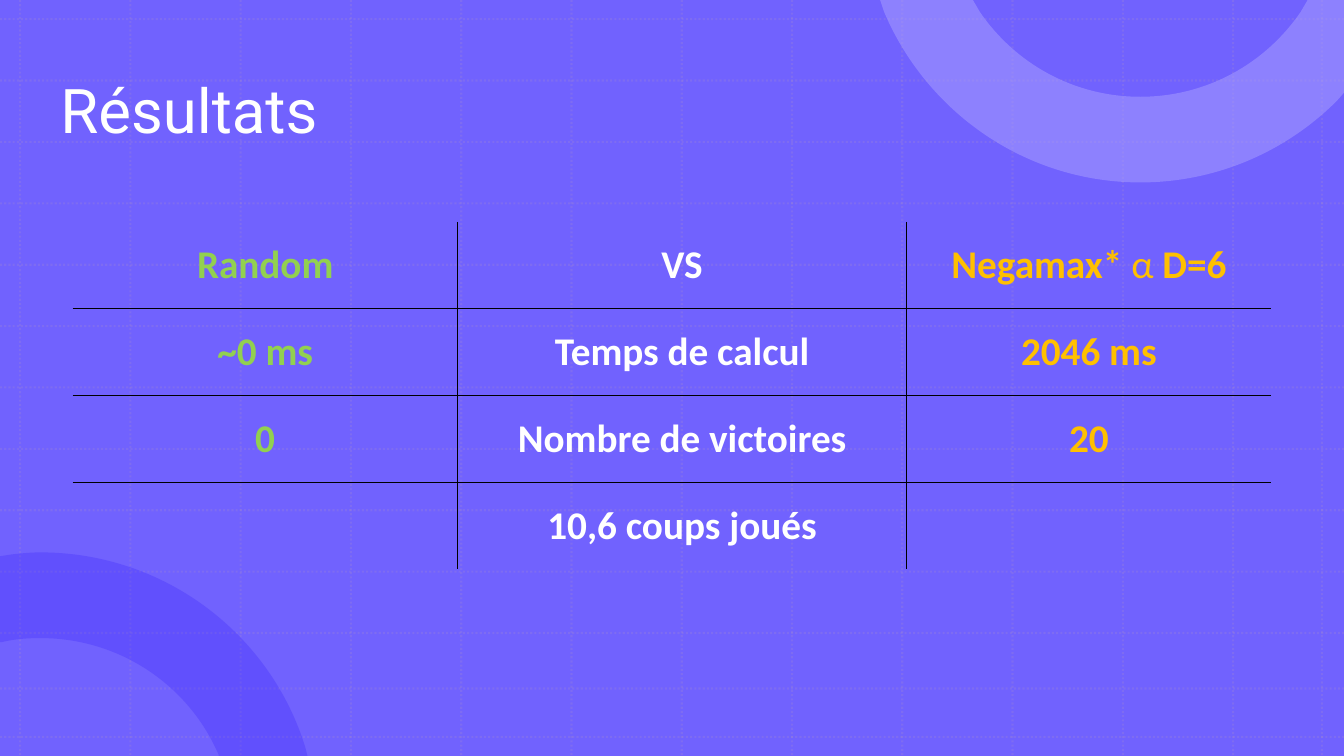
from lxml import etree
from pptx import Presentation
from pptx.dml.color import RGBColor
from pptx.enum.dml import MSO_LINE
from pptx.enum.shapes import MSO_CONNECTOR, MSO_SHAPE
from pptx.enum.text import MSO_ANCHOR, PP_ALIGN
from pptx.oxml.ns import qn
from pptx.util import Inches, Pt

STRAIGHT = MSO_CONNECTOR.STRAIGHT
RECTANGLE = MSO_SHAPE.RECTANGLE
DOTTED = MSO_LINE.ROUND_DOT
MIDDLE = MSO_ANCHOR.MIDDLE
LEFT, CENTER = PP_ALIGN.LEFT, PP_ALIGN.CENTER

VIOLET = RGBColor(0x71, 0x62, 0xFE)
GRID = RGBColor(0xB4, 0x95, 0xC2)
DEEP_BLUE = RGBColor(0x22, 0x0B, 0xFD)
LAVENDER = RGBColor(0xAA, 0xA1, 0xFE)
WHITE = RGBColor(0xFF, 0xFF, 0xFF)
GREEN = RGBColor(0x92, 0xD0, 0x50)
AMBER = RGBColor(0xFF, 0xC0, 0x00)

WIDTH, HEIGHT = 13.33, 7.5
COLUMN_WIDTHS = [3.82, 4.45, 3.62]
COLUMN_COLORS = [GREEN, WHITE, AMBER]
# Each cell is a list of (text, bold) runs
RESULTS = [
    [[("Random", True)], [("VS", True)],
     [("Negamax* ", True), ("α ", False), ("D=6", True)]],
    [[("~0 ms", True)], [("Temps de calcul", True)], [("2046 ms", True)]],
    [[("0", True)], [("Nombre de victoires", True)], [("20", True)]],
    [[], [("10,6 coups joués", True)], []],
]
# Outlines relative to the box of each ring: a segment of one point is
# straight, a segment of three points is a Bézier curve
LOWER_RING = [
    [(0.41, 0)],
    [(1.65, 0), (2.7, 0.82), (3.04, 1.94)],
    [(3.06, 2.02)], [(2.18, 2.02)], [(2.18, 2.01)],
    [(1.89, 1.33), (1.21, 0.85), (0.41, 0.85)],
    [(0.28, 0.85), (0.15, 0.86), (0.03, 0.89)],
    [(0, 0.89)], [(0, 0.04)], [(0.13, 0.02)],
    [(0.22, 0.01), (0.32, 0), (0.41, 0)],
]
UPPER_RING = [
    [(0, 0)], [(0.92, 0)], [(0.99, 0.12)],
    [(1.34, 0.63), (1.92, 0.96), (2.58, 0.96)],
    [(3.24, 0.96), (3.82, 0.63), (4.17, 0.12)],
    [(4.24, 0)], [(4.6, 0)], [(4.6, 0.92)], [(4.53, 1)],
    [(4.03, 1.5), (3.34, 1.81), (2.58, 1.81)],
    [(1.44, 1.81), (0.46, 1.11), (0.04, 0.12)],
]


def set_alpha(sp_pr, percent):
    color = next(sp_pr.iter(qn("a:srgbClr")))
    etree.SubElement(color, qn("a:alpha"), val=str(percent * 1000))


def paint(shape, color):
    shape.shadow.inherit = False
    shape.fill.solid()
    shape.fill.fore_color.rgb = color
    shape.line.fill.background()


def add_backdrop(s, width, height):
    backdrop = s.shapes.add_shape(
        RECTANGLE, 0, 0, Inches(width), Inches(height))
    paint(backdrop, VIOLET)


def add_grid_line(s, x1, y1, x2, y2):
    line = s.shapes.add_connector(
        STRAIGHT, Inches(x1), Inches(y1), Inches(x2), Inches(y2))
    line.line.color.rgb = GRID
    line.line.width = Pt(1.5)
    line.line.dash_style = DOTTED
    sp_pr = line._element.spPr
    set_alpha(sp_pr, 20)
    etree.SubElement(sp_pr, qn("a:effectLst"))


def add_grid(s, width, height):
    for x in [0.2 + 12.03 * i / 11 for i in range(12)] + [13.11]:
        add_grid_line(s, x, 0, x, height)
    for y in [0.19 + 6.09 * i / 10 for i in range(11)] + [6.83, 7.31]:
        add_grid_line(s, 0, y, width, y)


def add_ring(s, left, top, outline, color, alpha):
    """Draw the visible part of a ring, with its curves kept as Béziers."""
    points = [(Inches(left + x), Inches(top + y))
              for segment in outline for x, y in segment]
    builder = s.shapes.build_freeform(*points[0])
    builder.add_line_segments(points[1:], close=True)
    ring = builder.convert_to_shape()
    paint(ring, color)
    set_alpha(ring._element.spPr, alpha)

    steps = iter(list(ring._element.iter(qn("a:lnTo"))))
    for segment in outline[1:]:
        parts = [next(steps) for _ in segment]
        if len(parts) == 3:
            curve = etree.Element(qn("a:cubicBezTo"))
            parts[0].addprevious(curve)
            for part in parts:
                curve.append(part[0])
                part.getparent().remove(part)


def add_title(s, text, left, top, width, height):
    title = s.shapes.title
    s.shapes._spTree.append(title._element)  # bring in front of the decor
    title.left, title.top = Inches(left), Inches(top)
    title.width, title.height = Inches(width), Inches(height)
    tf = title.text_frame
    tf.text = text
    tf.vertical_anchor = MIDDLE
    p = tf.paragraphs[0]
    p.alignment = LEFT
    p.line_spacing = 0.9
    p.font.name = "Roboto"
    p.font.size = Pt(44)
    p.font.color.rgb = WHITE


def set_borders(cell, **visible):
    """Draw a black border on each side marked true, and none elsewhere."""
    tc_pr = cell._tc.get_or_add_tcPr()
    for side in ("lnL", "lnR", "lnT", "lnB"):
        ln = etree.SubElement(tc_pr, qn("a:" + side), w=str(Pt(1)))
        if visible[side]:
            fill = etree.SubElement(ln, qn("a:solidFill"))
            etree.SubElement(fill, qn("a:srgbClr"), val="000000")
        else:
            etree.SubElement(ln, qn("a:noFill"))


def fill_cell(cell, runs, color):
    cell.fill.background()
    cell.vertical_anchor = MIDDLE
    p = cell.text_frame.paragraphs[0]
    p.alignment = CENTER
    p.font.name = "Calibri"
    p.font.size = Pt(28)
    p.font.color.rgb = color
    for text, bold in runs:
        r = p.add_run()
        r.text = text
        r.font.bold = bold


def add_results(s, left, top, width, height):
    rows, cols = len(RESULTS), len(COLUMN_WIDTHS)
    table = s.shapes.add_table(rows, cols, Inches(left), Inches(top),
                               Inches(width), Inches(height)).table
    table.first_row = table.horz_banding = False
    for column, column_width in zip(table.columns, COLUMN_WIDTHS):
        column.width = Inches(column_width)
    for i, row in enumerate(RESULTS):
        for j, runs in enumerate(row):
            cell = table.cell(i, j)
            set_borders(cell, lnL=j > 0, lnR=j < cols - 1,
                        lnT=i > 0, lnB=i < rows - 1)
            fill_cell(cell, runs, COLUMN_COLORS[j])


def main():
    prs = Presentation()
    prs.slide_width, prs.slide_height = Inches(WIDTH), Inches(HEIGHT)
    s = prs.slides.add_slide(prs.slide_layouts[5])
    add_backdrop(s, WIDTH, HEIGHT)
    add_grid(s, WIDTH, HEIGHT)
    add_ring(s, -0.01, 5.48, LOWER_RING, DEEP_BLUE, 20)
    add_ring(s, 8.73, 0, UPPER_RING, LAVENDER, 50)
    add_title(s, "Résultats", 0.5, 0.4, 11.73, 1.45)
    add_results(s, 0.72, 2.2, sum(COLUMN_WIDTHS), 3.45)
    prs.save("out.pptx")


if __name__ == "__main__":
    main()
